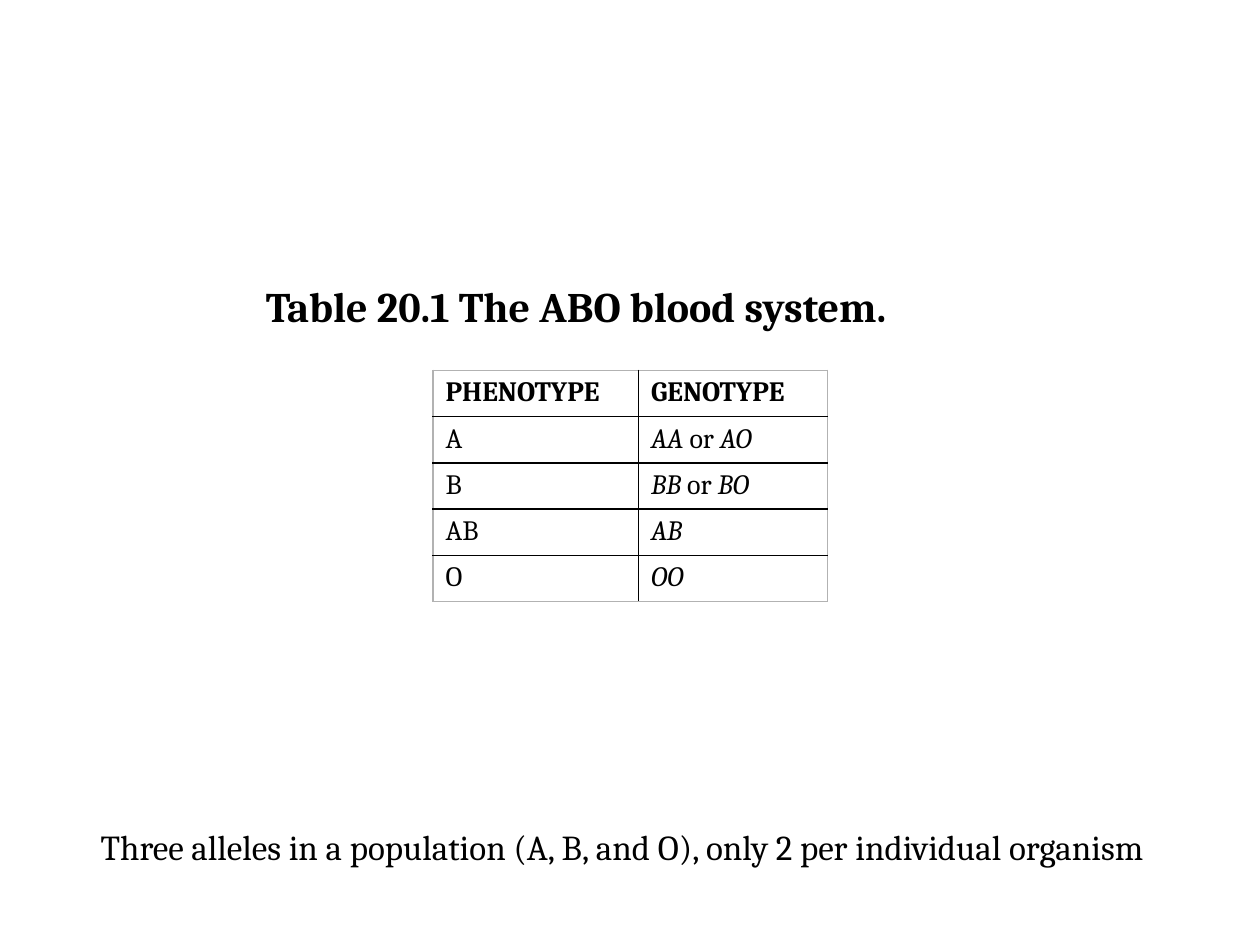
from lxml.etree import SubElement
from pptx import Presentation
from pptx.dml.color import RGBColor
from pptx.enum.text import MSO_ANCHOR, MSO_AUTO_SIZE, PP_ALIGN
from pptx.oxml.ns import qn
from pptx.util import Pt

BLACK, GREY, WHITE = "000000", "B2B2B2", "FFFFFF"
BLOOD_GROUPS = [
    ("A", ["AA", " or ", "AO"]),
    ("B", ["BB", " or ", "BO"]),
    ("AB", ["AB"]),
    ("O", ["OO"]),
]


def color(hex_string):
    return RGBColor.from_string(hex_string)


def add_run(paragraph, text, **formats):
    run = paragraph.add_run()
    run.text = text
    for name, value in {"name": "Cambria", "bold": False, "italic": False, **formats}.items():
        setattr(run.font, name, value)
    run.font.color.rgb = color(BLACK)


def format_frame(text_frame, **formats):
    for name, value in formats.items():
        setattr(text_frame, name, value)
    text_frame.paragraphs[0].alignment = PP_ALIGN.LEFT


def place_title(slide, left, top, width, height):
    title = slide.shapes.title
    title.left, title.top, title.width, title.height = map(Pt, (left, top, width, height))
    format_frame(title.text_frame, word_wrap=True, auto_size=MSO_AUTO_SIZE.NONE,
                 vertical_anchor=MSO_ANCHOR.MIDDLE)
    add_run(title.text_frame.paragraphs[0], "Table 20.1 The ABO blood system.",
            size=Pt(24), bold=True)


def add_caption(slide, left, top, width, height):
    caption = slide.shapes.add_textbox(*map(Pt, (left, top, width, height)))
    format_frame(caption.text_frame, word_wrap=False, auto_size=MSO_AUTO_SIZE.SHAPE_TO_FIT_TEXT)
    add_run(caption.text_frame.paragraphs[0],
            "Three alleles in a population (A, B, and O), only 2 per individual organism",
            size=Pt(20))


def set_borders(cell, outer_sides):
    """Draw the four sides, with those on the rim of the table in grey."""
    properties = cell._tc.get_or_add_tcPr()
    for side in "LRTB":
        line = SubElement(properties, qn(f"a:ln{side}"), w=str(Pt(1)))
        fill = SubElement(line, qn("a:solidFill"))
        SubElement(fill, qn("a:srgbClr"), val=GREY if side in outer_sides else BLACK)


def add_blood_table(slide, left, top, column_widths, row_height):
    rows = [("PHENOTYPE", ["GENOTYPE"])] + BLOOD_GROUPS
    frame = slide.shapes.add_table(len(rows), len(column_widths), Pt(left), Pt(top),
                                   Pt(sum(column_widths)), Pt(row_height * len(rows)))
    table = frame.table
    table.horz_banding = table.first_row = False
    for column, width in zip(table.columns, column_widths):
        column.width = Pt(width)
    for row_index, (phenotype, genotype) in enumerate(rows):
        table.rows[row_index].height = Pt(row_height)
        is_header = row_index == 0
        for column_index, parts in enumerate(([phenotype], genotype)):
            cell = table.cell(row_index, column_index)
            vertical_rim = {0: "T", len(rows) - 1: "B"}.get(row_index, "")
            set_borders(cell, vertical_rim + "LR"[column_index])
            cell.fill.solid()
            cell.fill.fore_color.rgb = color(WHITE)
            for part in parts:
                is_allele = column_index == 1 and not is_header and part != " or "
                add_run(cell.text_frame.paragraphs[0], part, size=Pt(16),
                        bold=is_header, italic=is_allele)


def main():
    presentation = Presentation()
    presentation.slide_width, presentation.slide_height = Pt(720), Pt(540)
    slide = presentation.slides.add_slide(presentation.slide_layouts[5])
    add_caption(slide, 50.4, 468, 618.5, 31.7)
    place_title(slide, 144.7, 156.5, 431.3, 36)
    add_blood_table(slide, 247.5, 211.7, (117.4, 108), 26.4)
    presentation.save("out.pptx")


if __name__ == "__main__":
    main()
